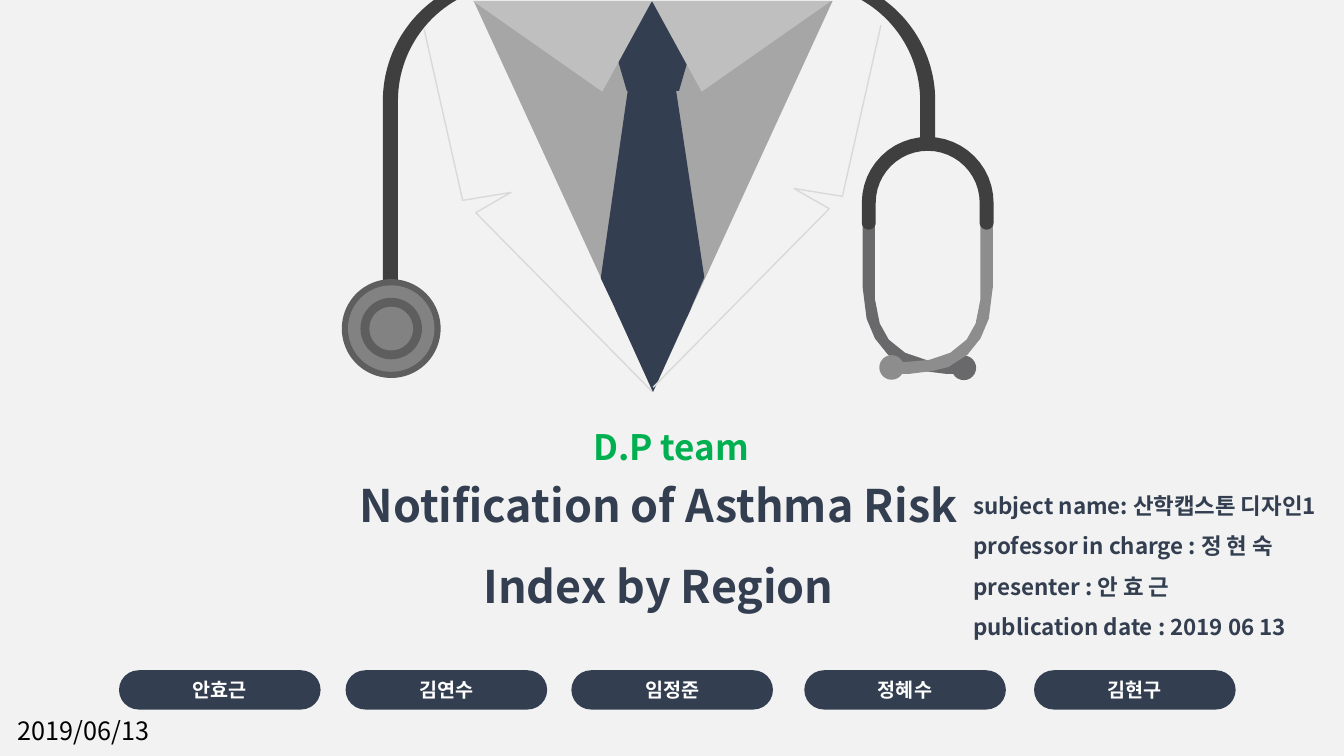
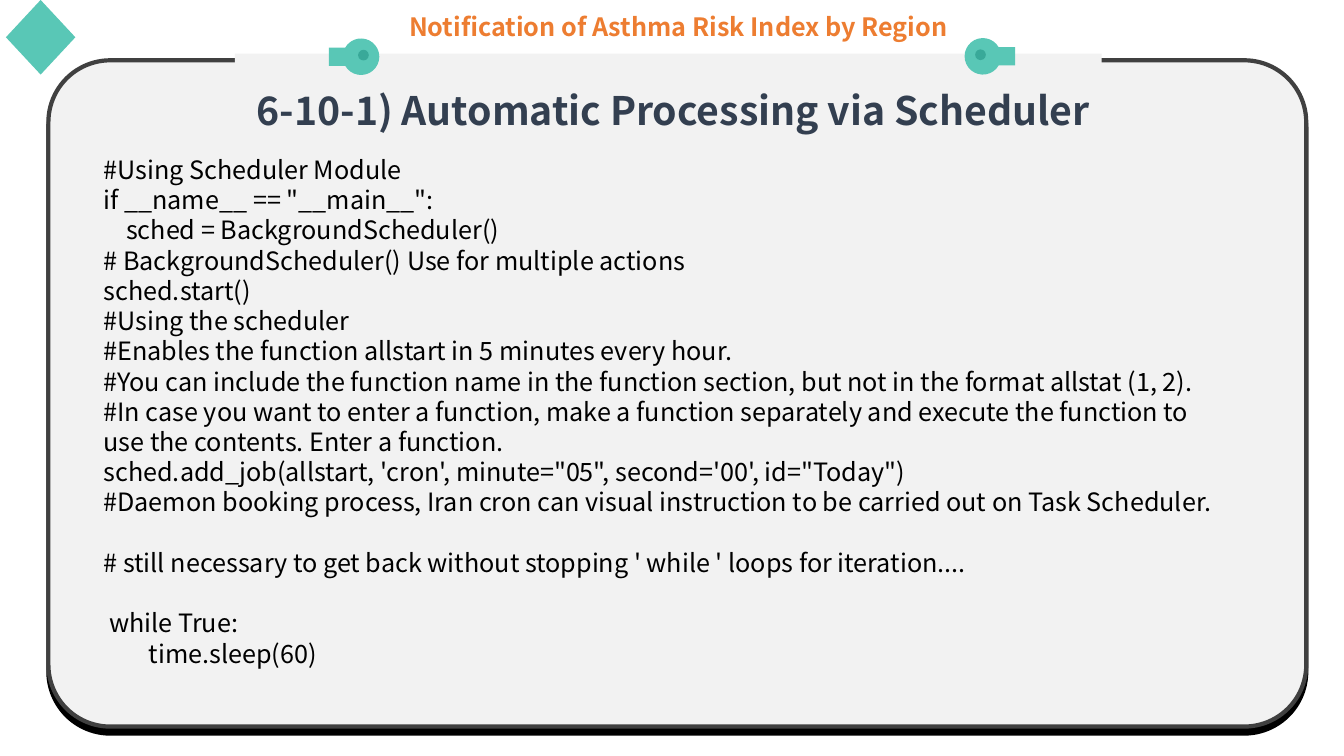
from math import asin, cos, degrees, radians, sin

from lxml import etree
from pptx import Presentation
from pptx.dml.color import RGBColor
from pptx.enum.shapes import MSO_SHAPE
from pptx.enum.text import MSO_ANCHOR, MSO_AUTO_SIZE, PP_ALIGN
from pptx.oxml.ns import qn
from pptx.util import Cm, Pt

OVAL, TRIANGLE = MSO_SHAPE.OVAL, MSO_SHAPE.ISOSCELES_TRIANGLE
ROUNDED, DIAMOND = MSO_SHAPE.ROUNDED_RECTANGLE, MSO_SHAPE.DIAMOND
PENTAGON = MSO_SHAPE.REGULAR_PENTAGON
LEFT, CENTER = PP_ALIGN.LEFT, PP_ALIGN.CENTER
TOP, MIDDLE = MSO_ANCHOR.TOP, MSO_ANCHOR.MIDDLE

FONT = "Noto Sans CJK KR"
TOPIC = "Notification of Asthma Risk Index by Region"
COLORS = {
    "paper": "F2F2F2", "white": "FFFFFF", "black": "000000", "navy": "333F50",
    "green": "00B050", "orange": "ED7D31", "teal": "59C7B6", "deep_teal": "39A999",
    "shirt": "A6A6A6", "collar": "BFBFBF", "seam": "D9D9D9", "border": "404040",
    "tube": "3F3F3F", "rim": "5E5E5E", "metal": "828282",
    "dark_bow": "69696B", "light_bow": "8D8D8E",
}


def rgb(name):
    return RGBColor.from_string(COLORS[name])


def arc(cx, cy, radius, start, end, steps=24):
    angles = [radians(start + (end - start) * i / steps) for i in range(steps + 1)]
    return [(cx + radius * cos(a), cy + radius * sin(a)) for a in angles]


def mirror(points, total, drop=0):
    return [(total - x, y + drop) for x, y in points]


class Deck:
    def __init__(self):
        self.prs = Presentation()
        self.prs.slide_width, self.prs.slide_height = Cm(33.87), Cm(19.05)
        self.s = None

    def slide(self, background):
        self.s = self.prs.slides.add_slide(self.prs.slide_layouts[5])
        fill = self.s.background.fill
        fill.solid()
        fill.fore_color.rgb = rgb(background)

    def paint(self, sp, fill=None, line=None, width=1):
        sp.shadow.inherit = False
        if fill:
            sp.fill.solid()
            sp.fill.fore_color.rgb = rgb(fill)
        else:
            sp.fill.background()
        if line:
            sp.line.color.rgb = rgb(line)
            sp.line.width = Pt(width)
        else:
            sp.line.fill.background()
        return sp

    def shape(self, kind, box, fill, adj=None, turn=0, **line):
        sp = self.s.shapes.add_shape(kind, *map(Cm, box))
        if adj is not None:
            sp.adjustments[0] = adj
        sp.rotation = turn
        return self.paint(sp, fill, **line)

    def disc(self, cx, cy, size, fill):
        self.shape(OVAL, (cx - size / 2, cy - size / 2, size, size), fill)

    def outline(self, points, fill=None, **line):
        emu = [(Cm(x), Cm(y)) for x, y in points]
        builder = self.s.shapes.build_freeform(*emu[0])
        builder.add_line_segments(emu[1:], close=fill is not None)
        self.paint(builder.convert_to_shape(), fill, **line)

    def add_lines(self, tf, lines, size, color, bold=True, align=LEFT, spacing=None,
                  anchor=TOP):
        tf.word_wrap = True
        tf.auto_size = MSO_AUTO_SIZE.NONE
        tf.vertical_anchor = anchor
        for i, line in enumerate(lines):
            p = tf.add_paragraph() if i else tf.paragraphs[0]
            p.alignment = align
            if spacing:
                p.line_spacing = spacing
            runs = [(line, size)] if isinstance(line, str) else line
            for text, points in runs:
                r = p.add_run()
                r.text = text
                r.font.size, r.font.bold = Pt(points), bold
                r.font.color.rgb = rgb(color)
                r.font.name = FONT
                etree.SubElement(r.font._element, qn("a:ea"), typeface=FONT)
        return tf

    def text(self, box, lines, size, color, **style):
        sp = self.s.shapes.add_textbox(*map(Cm, box))
        return self.add_lines(sp.text_frame, lines, size, color, **style)

    def title(self, box, line, size, fill=None):
        sp = self.s.shapes.title
        sp.element.getparent().append(sp.element)
        sp.left, sp.top, sp.width, sp.height = map(Cm, box)
        if fill:
            sp.fill.solid()
            sp.fill.fore_color.rgb = rgb(fill)
        self.add_lines(sp.text_frame, [line], size, "navy", align=CENTER, spacing=1.5)

    def pill(self, box, label):
        sp = self.shape(ROUNDED, box, "navy", adj=0.5)
        self.add_lines(sp.text_frame, [label], 14, "white", align=CENTER, anchor=MIDDLE)

    def hard_shadow(self, sp, color, distance):
        effects = sp.element.spPr.find(qn("a:effectLst"))
        shadow = etree.SubElement(effects, qn("a:outerShdw"), blurRad="0",
                                  dist=str(int(Pt(distance))), dir="5400000",
                                  algn="t", rotWithShape="0")
        etree.SubElement(shadow, qn("a:srgbClr"), val=COLORS[color])

    def clip(self, cx, cy, side):
        ring = arc(0, 0, 0.46, 30, 330) + [(0.81, -0.23), (0.81, 0.23)]
        self.outline([(cx + side * x, cy + y) for x, y in ring], "teal")
        self.disc(cx - side * 0.06, cy - 0.04, 0.27, "deep_teal")


def shirt_and_tie(deck):
    deck.shape(TRIANGLE, (11.94, 0.03, 9.04, 9.83), "shirt", turn=180)
    deck.shape(PENTAGON, (15.39, 0.03, 2.13, 2.26), "navy")
    deck.outline([(15.82, 2.29), (17.04, 2.29), (17.75, 6.99),
                  (17.32, 7.98), (15.6, 7.98), (15.14, 7.01)], "navy")
    for x, adj in ((11.91, 0.277), (16.43, 0.723)):
        deck.shape(TRIANGLE, (x, 0.02, 4.52, 2.29), "collar", adj=adj, turn=180)
    deck.shape(TRIANGLE, (15.49, 7.75, 1.93, 2.13), "navy", turn=180)
    lapel = [(10.69, 0.74), (11.66, 5.05), (12.88, 4.85), (11.99, 5.36), (16.43, 9.86)]
    deck.outline(lapel, line="seam")
    deck.outline(mirror(lapel, 32.89, -0.1), line="seam")


def stethoscope(deck):
    def tube(bottom):
        bend = 2.54
        outer = arc(12.8, bend, 3.15, 180, 180 + degrees(asin(bend / 3.15)))
        inner = arc(12.95, bend, 2.92, 180 + degrees(asin(bend / 2.92)), 180)
        return [(9.65, bottom)] + outer + inner + [(10.03, bottom)]

    deck.outline(tube(8.92), "tube")
    deck.outline(mirror(tube(3.73), 33.22), "tube")
    for size, fill in ((2.49, "rim"), (2.18, "metal"), (1.55, "rim"), (1.1, "metal")):
        deck.disc(9.86, 8.28, size, fill)

    cx, cy, tip = 23.38, 5.11, 5.61
    bow = [(21.74, tip), (21.74, 7.24), (21.84, 8.03), (22.05, 8.53), (22.38, 8.94),
           (22.86, 9.25), (23.27, 9.35), (23.83, 9.42), (24.28, 9.42), (24.28, 9.12),
           (23.9, 9.12), (23.34, 9.07), (22.81, 8.89), (22.4, 8.56), (22.17, 8.15),
           (22.05, 7.54), (22.05, tip)]
    deck.outline(bow, "dark_bow")
    deck.disc(24.29, 9.27, 0.62, "dark_bow")
    deck.outline(mirror(bow, 2 * cx), "light_bow")
    deck.disc(2 * cx - 24.29, 9.26, 0.62, "light_bow")

    outer, inner = 1.66, 1.31
    middle, cap = (outer + inner) / 2, (outer - inner) / 2
    deck.outline(arc(cx, cy, outer, 180, 360) + arc(cx + middle, tip, cap, 0, 180)
                 + arc(cx, cy, inner, 360, 180) + arc(cx - middle, tip, cap, 0, 180), "tube")


def cover(deck):
    deck.slide("paper")
    shirt_and_tie(deck)
    stethoscope(deck)
    deck.title((8.23, 11.23, 16.74, 4.09), TOPIC, 32)
    members = ("안효근", "김연수", "임정준", "정혜수", "김현구")
    for x, member in zip((3, 8.71, 14.4, 20.27, 26.06), members):
        deck.pill((x, 16.89, 5.08, 0.99), member)
    deck.text((14.58, 10.06, 4.67, 1.65), ["D.P team"], 25, "green",
              align=CENTER, spacing=1.5)
    deck.text((24.28, 11.94, 9.55, 5.97), [
        "subject name: 산학캡스톤 디자인1",
        "professor in charge : 정 현 숙",
        "presenter : 안 효 근",
        "publication date : 2019 06 13",
    ], 16, "navy", spacing=1.5)
    deck.text((0.2, 17.91, 4.9, 1.02), ["2019/06/13"], 18, "black", bold=False)


def scheduler(deck):
    deck.slide("white")
    panel = deck.shape(ROUNDED, (1.22, 1.52, 31.7, 16.79), "paper", adj=0.093,
                       line="border", width=3)
    deck.hard_shadow(panel, "black", 5)
    deck.title((5.92, 1.35, 21.84, 2.18),
               [(" ", 30), ("6-10-1) Automatic Processing via Scheduler", 28)], 28, "paper")
    deck.clip(24.77, 1.42, 1)
    deck.clip(9.1, 1.43, -1)
    deck.shape(DIAMOND, (0.15, 0, 1.75, 1.88), "teal")
    code = [
        "#Using Scheduler Module",
        'if __name__ == "__main__":',
        "    sched = BackgroundScheduler()",
        "# BackgroundScheduler() Use for multiple actions",
        "sched.start()",
        "#Using the scheduler",
        "#Enables the function allstart in 5 minutes every hour.",
        "#You can include the function name in the function section, "
        "but not in the format allstat (1, 2).",
        "#In case you want to enter a function, make a function separately and "
        "execute the function to use the contents. Enter a function.",
        "sched.add_job(allstart, 'cron', minute=\"05\", second='00', id=\"Today\")",
        "#Daemon booking process, Iran cron can visual instruction "
        "to be carried out on Task Scheduler.",
        "# still necessary to get back without stopping ' while ' loops for iteration....",
        " while True:",
        "        time.sleep(60)",
    ]
    tf = deck.text((2.36, 3.76, 28.98, 13.34), code, 18, "black", bold=False)
    for p in tf.paragraphs[-3:-1]:
        p.space_before = Pt(21.6)
    deck.text((10.06, 0.15, 14.25, 1.02), [TOPIC], 18, "orange")


def main():
    deck = Deck()
    cover(deck)
    scheduler(deck)
    deck.prs.save("out.pptx")


if __name__ == "__main__":
    main()
